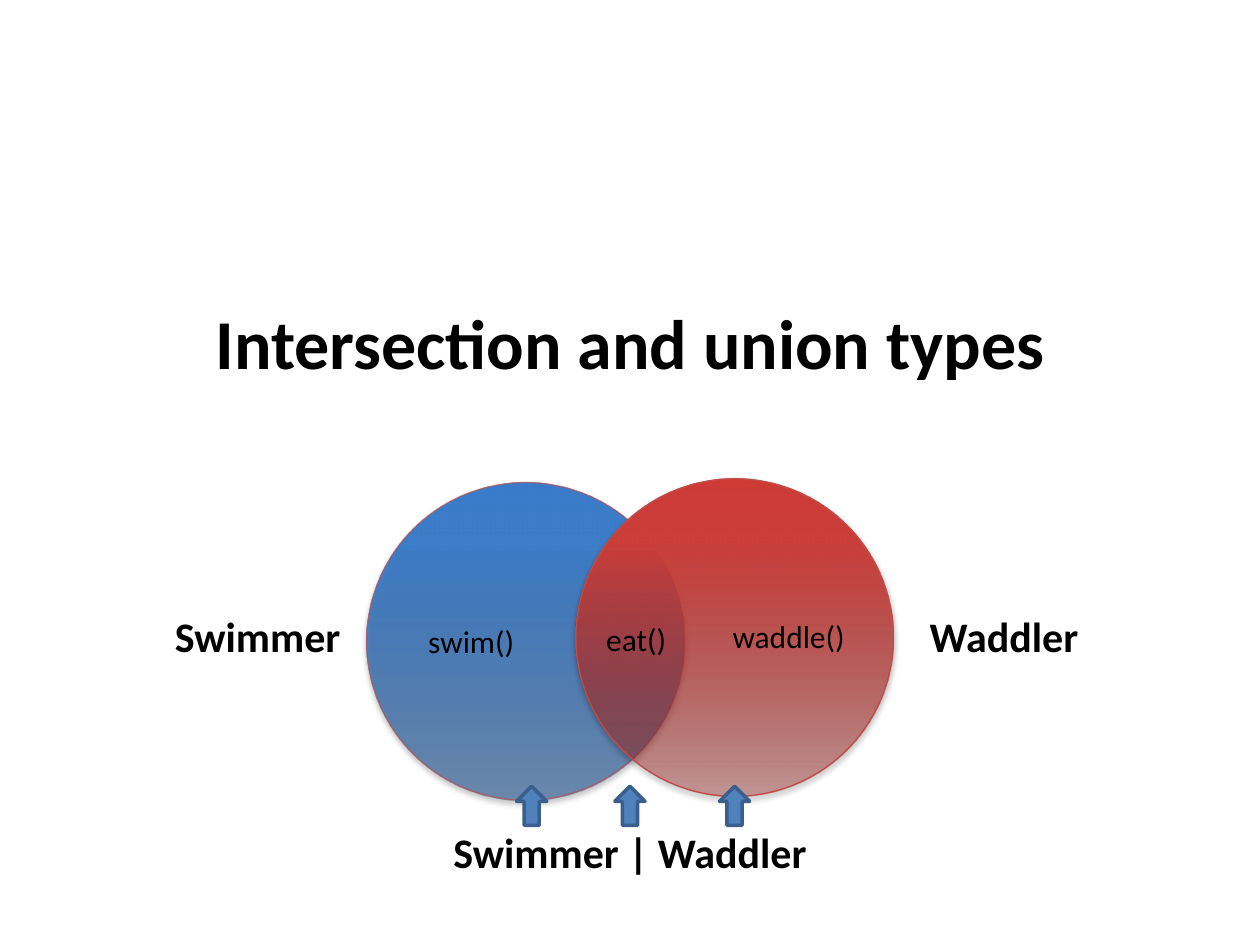
from dataclasses import dataclass

from lxml.etree import SubElement
from pptx import Presentation
from pptx.dml.color import RGBColor
from pptx.enum.shapes import MSO_SHAPE
from pptx.enum.text import MSO_ANCHOR, PP_ALIGN
from pptx.oxml.ns import qn
from pptx.util import Inches, Pt

OVAL, UP_ARROW = MSO_SHAPE.OVAL, MSO_SHAPE.UP_ARROW
LEFT, CENTER, TOP = PP_ALIGN.LEFT, PP_ALIGN.CENTER, MSO_ANCHOR.TOP

COLS, ROWS = 100, 75
DIAMETER, OFFSET = 25.2, 16.6
SWIM_LEFT = 29.1
WADDLE_LEFT = SWIM_LEFT + OFFSET
SWIM_RIGHT = SWIM_LEFT + DIAMETER
VENN_WIDTH = DIAMETER + OFFSET


@dataclass(frozen=True)
class Theme:
    """Colours, font and type sizes of the slide."""
    font: str = "Calibri"
    text: str = "000000"
    outline: str = "BF4C48"
    arrow: str = "4F81BD"
    arrow_line: str = "3A5F8C"
    swim: tuple = ("2F5F99", "3D7CC7", "3A7CCB")
    waddle: tuple = ("9C2F2D", "CB3E3A", "CE3B37")
    title_size: int = 40
    type_size: int = 24
    method_size: int = 18


THEME = Theme()


def cells(*lengths):
    """Convert grid cells to slide lengths."""
    return [Inches(n * 10 / COLS) for n in lengths]


def add_alpha(color, percent):
    """Give a colour element an opacity."""
    SubElement(color, qn("a:alpha"), val=str(percent * 1000))


def write(tf, text, size, bold, align):
    """Write one formatted run into a text frame."""
    p = tf.paragraphs[0]
    p.alignment = align
    r = p.add_run()
    r.text = text
    r.font.name, r.font.size, r.font.bold = THEME.font, Pt(size), bold
    r.font.color.rgb = RGBColor.from_string(THEME.text)


def add_label(s, text, box, size, bold=False, align=CENTER):
    """Add a wrapped text box."""
    tf = s.shapes.add_textbox(*cells(*box)).text_frame
    tf.word_wrap = True
    write(tf, text, size, bold, align)


def add_outlined(s, kind, box, line, width):
    """Add a preset shape with a plain outline and no inherited shadow."""
    sp = s.shapes.add_shape(kind, *cells(*box))
    sp.shadow.inherit = False
    sp.line.color.rgb = RGBColor.from_string(line)
    sp.line.width = Pt(width)
    return sp


def add_circle(s, left, top, colors, alpha, line_alpha):
    """Add a Venn circle with a fading gradient and a soft shadow."""
    sp = add_outlined(s, OVAL, (left, top, DIAMETER, DIAMETER), THEME.outline, 0.75)
    sp.fill.gradient()
    sp.fill.gradient_angle = 90
    props = sp._element.spPr
    stops = next(props.iter(qn("a:gsLst")))
    stops[:] = []
    for position, color, opacity in zip((0, 80, 100), colors, (alpha, 100, 100)):
        stop = SubElement(stops, qn("a:gs"), pos=str(position * 1000))
        add_alpha(SubElement(stop, qn("a:srgbClr"), val=color), opacity)
    add_alpha(next(props.find(qn("a:ln")).iter(qn("a:srgbClr"))), line_alpha)
    shadow = SubElement(props.find(qn("a:effectLst")), qn("a:outerShdw"),
                        blurRad=str(Pt(3.1)), dist=str(Pt(1.8)),
                        dir="5400000", rotWithShape="0")
    add_alpha(SubElement(shadow, qn("a:srgbClr"), val="000000"), 35)


def add_arrow(s, left):
    """Add an up arrow below the circles."""
    sp = add_outlined(s, UP_ARROW, (left, 62.4, 2.4, 3.1), THEME.arrow_line, 2)
    sp.fill.solid()
    sp.fill.fore_color.rgb = RGBColor.from_string(THEME.arrow)


def set_title(s, text):
    """Place and fill the title, and drop the subtitle."""
    title, subtitle = s.shapes.title, s.placeholders[1]
    title.left, title.top, title.width, title.height = cells(7.5, 23.3, 85, 40.2)
    title.text_frame.vertical_anchor = TOP
    write(title.text_frame, text, THEME.title_size, True, CENTER)
    subtitle._element.getparent().remove(subtitle._element)


def main():
    """Build the slide and save it."""
    prs = Presentation()
    prs.slide_width, prs.slide_height = cells(COLS, ROWS)
    s = prs.slides.add_slide(prs.slide_layouts[0])
    set_title(s, "Intersection and union types")

    add_circle(s, SWIM_LEFT, 38.3, THEME.swim, 60, 60)
    add_circle(s, WADDLE_LEFT, 38, THEME.waddle, 40, 100)

    for text, left in (("Swimmer", 12.9), ("Waddler", 72.8)):
        add_label(s, text, (left, 48, 15.7, 5), THEME.type_size, True, LEFT)
    add_label(s, "Swimmer | Waddler", (SWIM_LEFT, 65.1, VENN_WIDTH, 5),
              THEME.type_size, True)

    for text, left, top in (("swim()", SWIM_LEFT, 48.9),
                            ("waddle()", SWIM_RIGHT, 48.5),
                            ("eat()", 42.2, 48.7)):
        add_label(s, text, (left, top, OFFSET, 4), THEME.method_size)

    for left in (48.8, 57.1, 41):
        add_arrow(s, left)

    prs.save("out.pptx")


if __name__ == "__main__":
    main()
